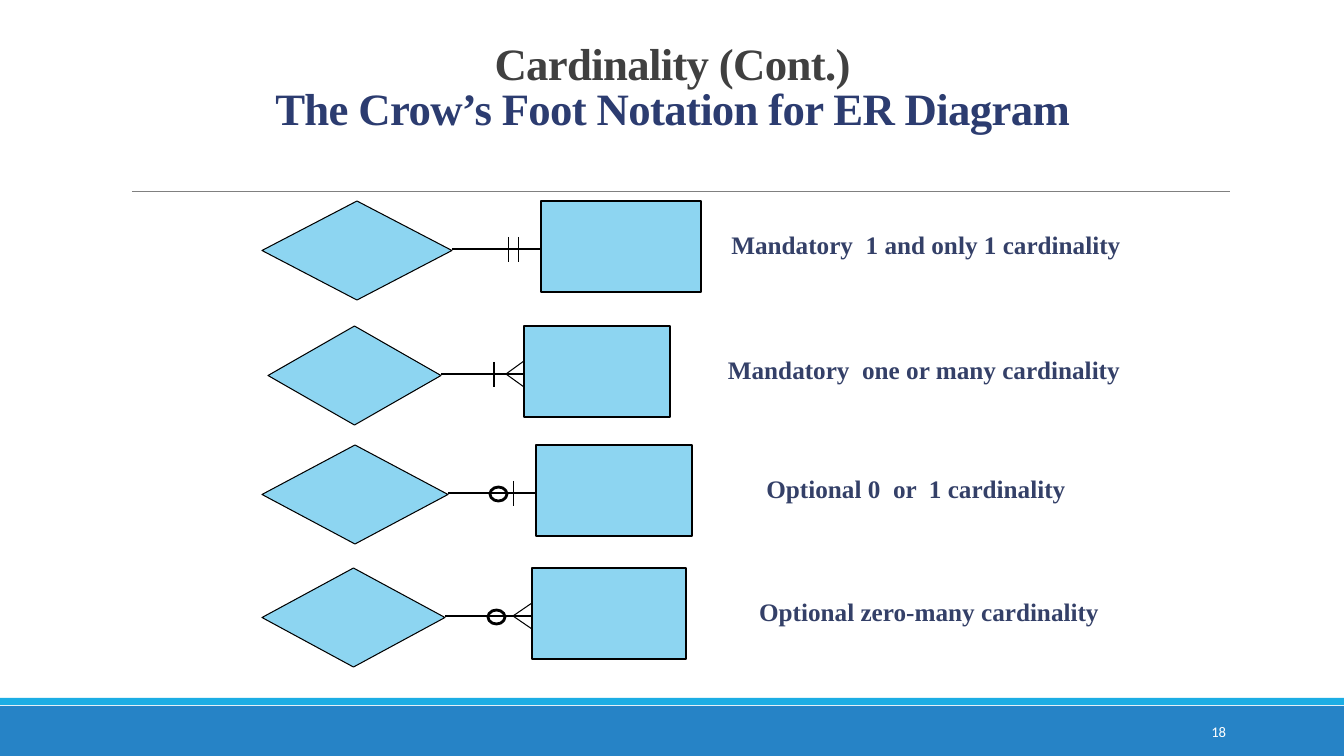
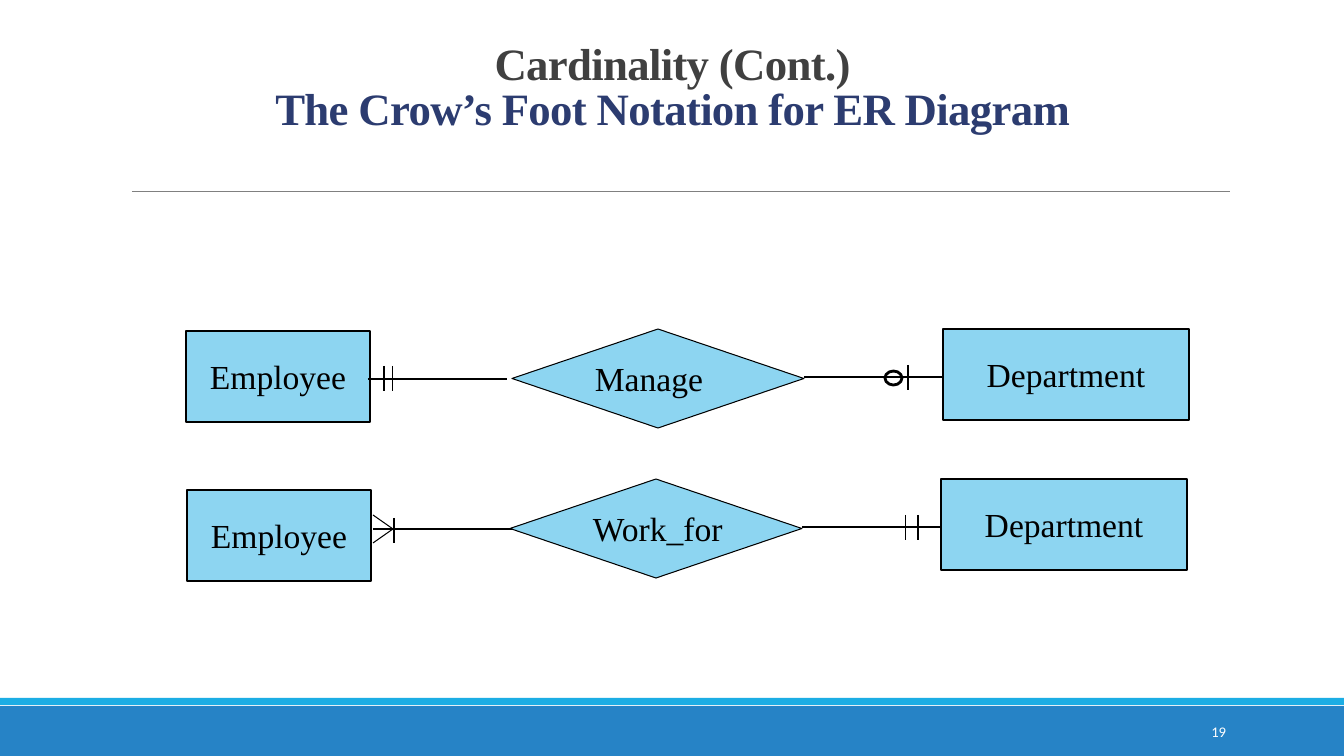
from lxml.etree import SubElement
from pptx import Presentation
from pptx.dml.color import RGBColor as Rgb
from pptx.enum.shapes import MSO_CONNECTOR as Conn, MSO_SHAPE as Form
from pptx.enum.text import MSO_ANCHOR as Anchor, PP_ALIGN as Align
from pptx.oxml.ns import qn
from pptx.util import Pt

SCALE = 914400 / 100.8
SERIF = "Times New Roman"
COLORS = {
    "band": "2683C6", "strip": "1CADE4", "rule": "808080", "ink": "000000",
    "head": "404040", "topic": "2C3C70", "label": "344068", "white": "FFFFFF",
}
TALL, HIGH, DROP = 99, 91, 48


def px(*sizes):
    return [round(size * SCALE) for size in sizes]


def tint(name):
    return Rgb.from_string(COLORS[name])


def add_run(para, text, size, color, bold=False, font=SERIF):
    run = para.add_run()
    run.text = text
    run.font.size = Pt(size)
    run.font.name = font
    run.font.bold = bold
    run.font.color.rgb = tint(color)
    return run


def add_box(slide, x, y, w, h, align, anchor=Anchor.TOP):
    frame = slide.shapes.add_textbox(*px(x, y, w, h)).text_frame
    frame.word_wrap = True
    frame.vertical_anchor = anchor
    para = frame.paragraphs[0]
    para.alignment = align
    return para


def add_form(slide, form, x, y, w, h, fill=None, line=None, alpha=None):
    shape = slide.shapes.add_shape(form, *px(x, y, w, h))
    shape.shadow.inherit = False
    if fill:
        shape.fill.solid()
        shape.fill.fore_color.rgb = tint(fill)
    else:
        shape.fill.background()
    if alpha:
        color = shape._element.spPr.find(qn("a:solidFill"))[0]
        SubElement(color, qn("a:alpha")).set("val", str(alpha * 1000))
    if line:
        shape.line.color.rgb = tint("ink")
        shape.line.width = Pt(line)
    else:
        shape.line.fill.background()
    return shape


def add_line(slide, x1, y1, x2, y2, width=0.75, color="ink"):
    line = slide.shapes.add_connector(Conn.STRAIGHT, *px(x1, y1, x2, y2))
    line.line.color.rgb = tint(color)
    line.line.width = Pt(width)
    SubElement(line._element.spPr, qn("a:effectLst"))


def add_node(slide, form, x, y, w, h, line, text, align):
    shape = add_form(slide, form, x, y, w, h, "strip", line, 50)
    if text:
        frame = shape.text_frame
        frame.word_wrap = False
        frame.vertical_anchor = Anchor.MIDDLE
        frame.paragraphs[0].alignment = align
        add_run(frame.paragraphs[0], text, 24, "ink")


def diamond(slide, x, y, w, text=""):
    add_node(slide, Form.FLOWCHART_DECISION, x, y, w, TALL, 0.75, text, Align.LEFT)


def entity(slide, x, y, w, text=""):
    add_node(slide, Form.RECTANGLE, x, y, w, HIGH, 1.5, text, Align.CENTER)


def link(slide, x1, x2, y):
    add_line(slide, x1, y, x2, y, 1)


def bars(slide, y, *places):
    for x in places:
        add_line(slide, x, y - 12, x, y + 13)


def ring(slide, y, x):
    add_form(slide, Form.FLOWCHART_CONNECTOR, x, y - 6, 17, 14, line=2)


def foot(slide, y, tip, edge, spread=13):
    for end in (y - spread, y + spread):
        add_line(slide, tip, y, edge, end)


def add_page(deck, number):
    slide = deck.slides.add_slide(deck.slide_layouts[6])
    add_form(slide, Form.RECTANGLE, 0, 706, 1344, 50, "band")
    add_form(slide, Form.RECTANGLE, 0, 698, 1344, 7, "strip")
    add_line(slide, 132, 191, 1230, 191, 0.5, "rule")
    title = add_box(slide, 244, 4, 857, 136, Align.CENTER, Anchor.BOTTOM)
    title.line_spacing = 0.85
    first = add_run(title, "Cardinality (Cont.)", 32, "head", True)
    title.add_line_break()
    second = add_run(title, "The Crow’s Foot Notation for ER Diagram", 32, "topic", True)
    for run in (first, second):
        run._r.get_or_add_rPr().set("spc", "-50")
    para = add_box(slide, 1092, 712, 144, 40, Align.RIGHT, Anchor.MIDDLE)
    add_run(para, str(number), 10.5, "white", font="Calibri")
    return slide


def add_key(slide):
    rows = [
        (201, 262, 190, 541, 160, 926, "Mandatory  1 and only 1 cardinality",
         [(bars, 509, 519)]),
        (326, 268, 173, 524, 146, 924, "Mandatory  one or many cardinality",
         [(bars, 494), (foot, 506, 524)]),
        (445, 262, 186, 536, 156, 916, "Optional 0  or  1 cardinality",
         [(bars, 514), (ring, 490)]),
        (568, 262, 183, 532, 154, 929, "Optional zero-many cardinality",
         [(ring, 488), (foot, 513, 532)]),
    ]
    for top, left, wide, edge, span, mid, text, marks in rows:
        diamond(slide, left, top, wide)
        link(slide, left + wide, edge, top + DROP)
        para = add_box(slide, mid - 230, top + 23, 460, 40, Align.CENTER)
        add_run(para, text, 18, "label", True)
        entity(slide, edge, top, span)
        for draw, *places in marks:
            draw(slide, top + DROP, *places)


def add_case(slide, left, top, verb, near, level, start):
    right = left + 292
    edge = right + 139
    diamond(slide, left, top, 292, verb)
    link(slide, right, edge, top + DROP)
    entity(slide, edge, top, 246, "Department")
    entity(slide, near, level, 184, "Employee")
    link(slide, start, start + 139, top + 50)


def add_cases(slide):
    add_case(slide, 512, 329, "Manage", 186, 331, 368)
    bars(slide, 377, 908)
    ring(slide, 377, 885)
    bars(slide, 378, 384, 393)
    add_case(slide, 510, 479, "Work_for", 187, 490, 373)
    bars(slide, 527, 906, 918)
    bars(slide, 530, 394)
    foot(slide, 529, 393, 373, 14)


def main():
    deck = Presentation()
    deck.slide_width, deck.slide_height = px(1344, 756)
    add_key(add_page(deck, 18))
    add_cases(add_page(deck, 19))
    deck.save("out.pptx")


main()
